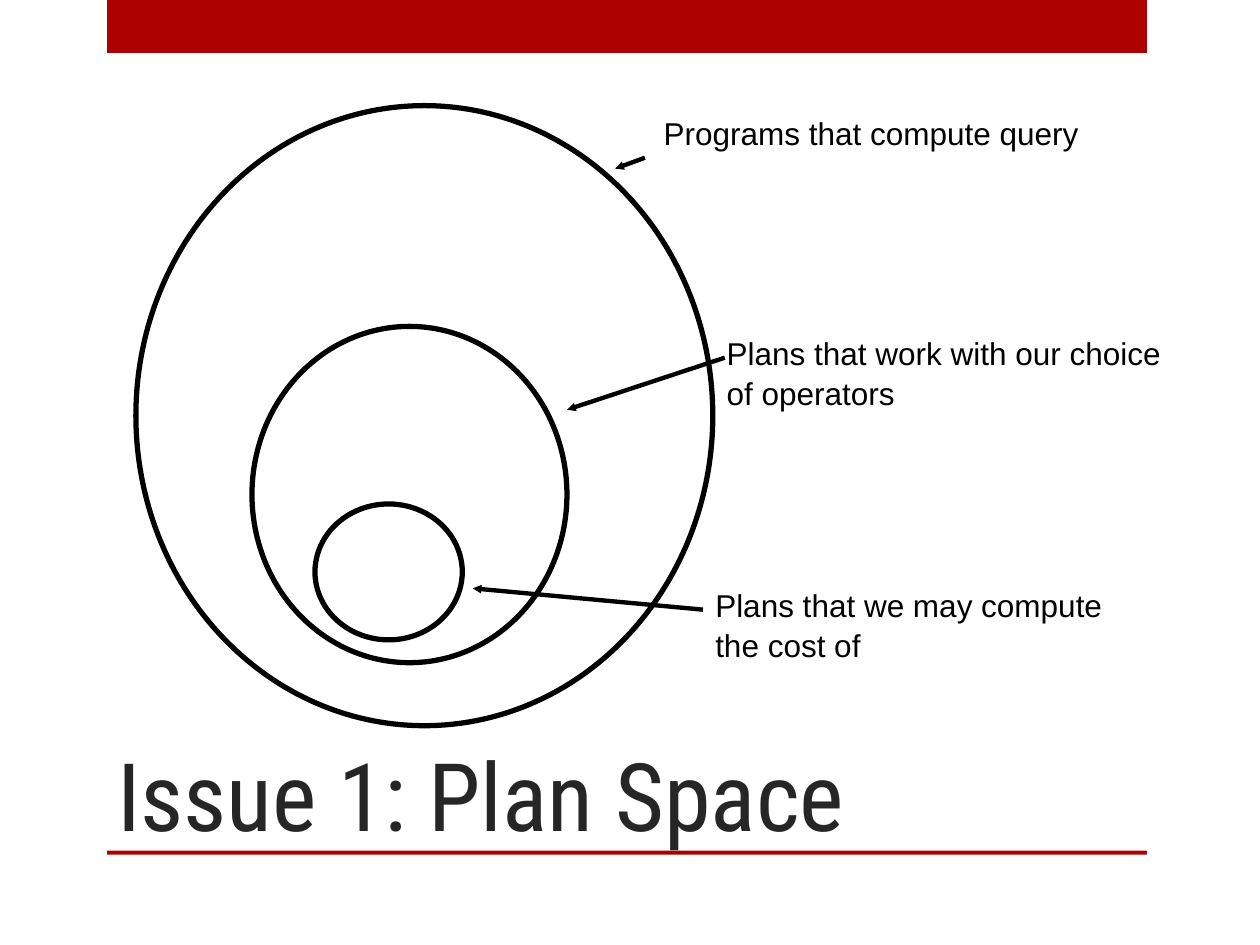
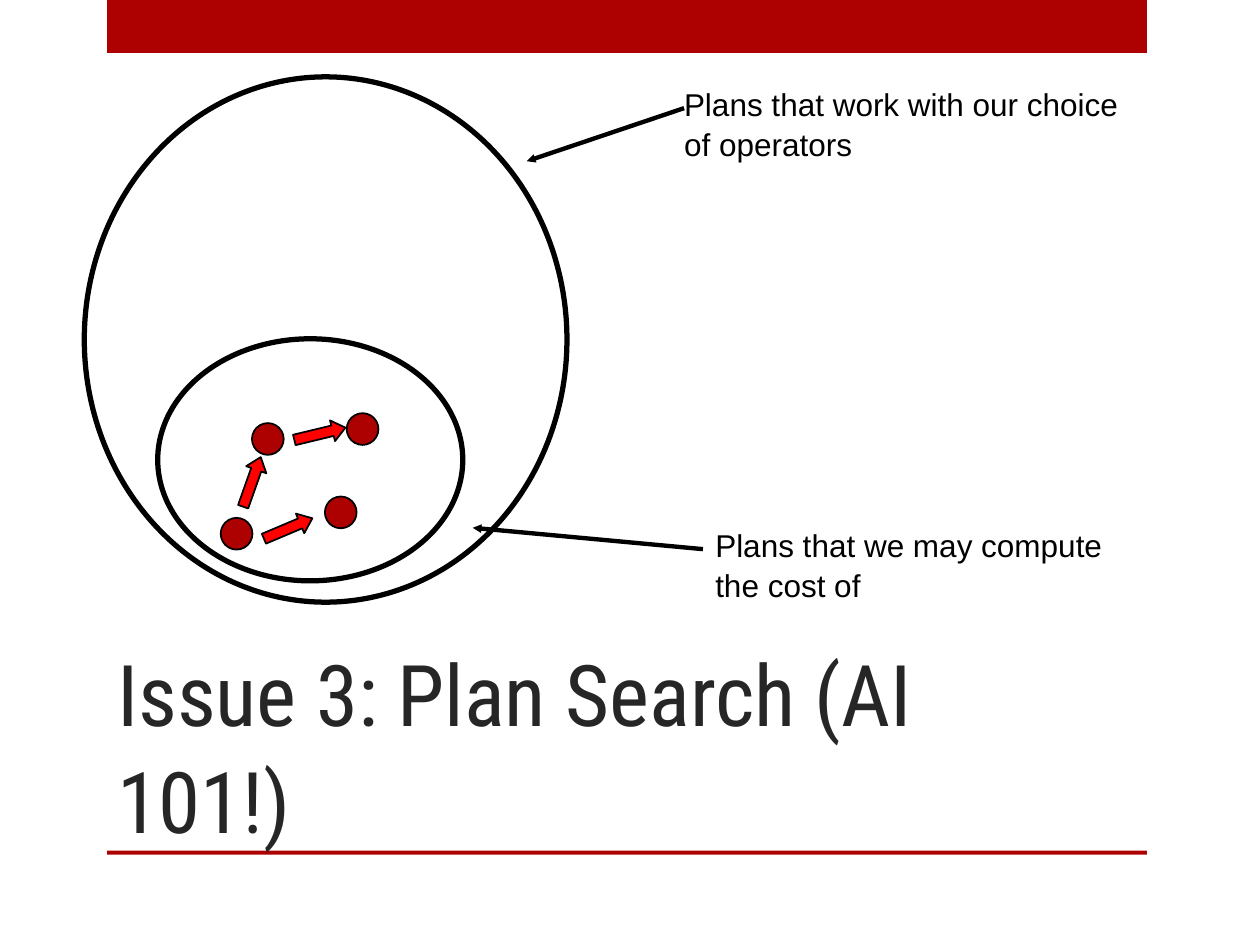
from dataclasses import dataclass

from lxml import etree
from pptx import Presentation
from pptx.dml.color import RGBColor
from pptx.enum.shapes import MSO_CONNECTOR, MSO_SHAPE
from pptx.enum.text import MSO_ANCHOR
from pptx.oxml.ns import qn
from pptx.util import Cm, Pt

RECTANGLE, ELLIPSE = MSO_SHAPE.RECTANGLE, MSO_SHAPE.OVAL
RIGHT_ARROW = MSO_SHAPE.RIGHT_ARROW
STRAIGHT = MSO_CONNECTOR.STRAIGHT
TOP, BOTTOM = MSO_ANCHOR.TOP, MSO_ANCHOR.BOTTOM

COLORS = {"band": "AD0101", "title": "262626", "ink": "000000", "step": "FF0000"}
TITLE_FONT, LABEL_FONT = "Roboto Condensed", "Arial"
LINE_SPACING = 1.05

# All lengths are in centimetres
BAND_LEFT, BAND_WIDTH = 2.16, 20.96
TITLE_BOX = (2.11, 12.7, 18.85, 4.45)
LABEL_WIDTH, LABEL_HEIGHT = 9.35, 2.29
PLAN_SIZE = 0.64
STEP_WIDTH, STEP_HEIGHT = 1.06, 0.43

OPERATORS = "Plans that work with our choice of operators"
COSTED = "Plans that we may compute the cost of"


@dataclass(frozen=True)
class PlanSet:
    """A set of plans: its outline, its label and the pointer between them."""
    outline: tuple[float, float, float, float]
    label: str
    label_at: tuple[float, float]
    pointer_from: tuple[float, float]
    pointer_to: tuple[float, float]


@dataclass(frozen=True)
class SearchStep:
    left: float
    top: float
    rotation: float


@dataclass(frozen=True)
class Issue:
    title: str
    title_size: float
    plan_sets: tuple[PlanSet, ...]
    plans: tuple[tuple[float, float], ...] = ()
    steps: tuple[SearchStep, ...] = ()


ISSUES = (
    Issue("Issue 1: Plan Space", 54, (
        PlanSet((2.74, 2.13, 11.63, 12.5), "Programs that compute query",
                (13.13, 2.13), (13, 3.18), (12.4, 3.4)),
        PlanSet((5.08, 6.58, 6.35, 6.78), OPERATORS,
                (14.4, 6.58), (14.61, 7.21), (11.43, 8.26)),
        PlanSet((6.35, 10.16, 2.97, 2.74), COSTED,
                (14.17, 11.66), (14.17, 12.29), (9.53, 11.86)),
    )),
    Issue("Issue 3: Plan Search (AI 101!)", 48.6, (
        PlanSet((1.7, 1.55, 9.73, 10.59), OPERATORS,
                (13.54, 1.55), (13.79, 2.18), (10.62, 3.25)),
        PlanSet((3.18, 6.83, 6.15, 4.88), COSTED,
                (14.17, 10.44), (14.17, 11.07), (9.53, 10.64)),
    ),
        plans=((4.45, 10.44), (6.99, 8.33), (5.08, 8.53), (6.55, 10.01)),
        steps=(SearchStep(5.28, 10.44, 337.1), SearchStep(5.92, 8.53, 346.5),
               SearchStep(4.55, 9.5, 289.5))),
)


def rgb(name: str) -> RGBColor:
    return RGBColor.from_string(COLORS[name])


def add_figure(slide, kind, box, fill: str = "", line_width: float = 0):
    """Draw a preset shape; no fill name or zero width means none."""
    figure = slide.shapes.add_shape(kind, *map(Cm, box))
    figure.shadow.inherit = False
    if fill:
        figure.fill.solid()
        figure.fill.fore_color.rgb = rgb(fill)
    else:
        figure.fill.background()
    if line_width:
        figure.line.color.rgb = rgb("ink")
        figure.line.width = Pt(line_width)
    else:
        figure.line.fill.background()
    return figure


def add_text(slide, box, text: str, font: str, size: float, color: str, anchor):
    frame = slide.shapes.add_textbox(*map(Cm, box)).text_frame
    frame.word_wrap = True
    frame.vertical_anchor = anchor
    paragraph = frame.paragraphs[0]
    paragraph.text = text
    paragraph.line_spacing = LINE_SPACING
    paragraph.font.name = font
    paragraph.font.size = Pt(size)
    paragraph.font.color.rgb = rgb(color)
    return frame


def add_pointer(slide, start: tuple[float, float], end: tuple[float, float]) -> None:
    pointer = slide.shapes.add_connector(STRAIGHT, *map(Cm, start + end))
    pointer.line.color.rgb = rgb("ink")
    pointer.line.width = Pt(2.5)
    etree.SubElement(pointer.line._get_or_add_ln(), qn("a:tailEnd"),
                     type="triangle", w="sm", len="sm")
    etree.SubElement(pointer._element.spPr, qn("a:effectLst"))


def add_frame(slide, issue: Issue) -> None:
    """Top band, bottom rule and title."""
    for top, height in ((0, 1.07), (17.15, 0.08)):
        add_figure(slide, RECTANGLE, (BAND_LEFT, top, BAND_WIDTH, height), "band")
    title = add_text(slide, TITLE_BOX, issue.title, TITLE_FONT,
                     issue.title_size, "title", BOTTOM)
    title.margin_bottom = Cm(0)


def add_plan_set(slide, plan_set: PlanSet) -> None:
    add_figure(slide, ELLIPSE, plan_set.outline, line_width=3)
    add_text(slide, (*plan_set.label_at, LABEL_WIDTH, LABEL_HEIGHT),
             plan_set.label, LABEL_FONT, 18, "ink", TOP)
    add_pointer(slide, plan_set.pointer_from, plan_set.pointer_to)


def add_step(slide, step: SearchStep) -> None:
    arrow = add_figure(slide, RIGHT_ARROW,
                       (step.left, step.top, STEP_WIDTH, STEP_HEIGHT), "step", 1)
    arrow.adjustments[0] = 0.5
    arrow.adjustments[1] = 0.625
    arrow.rotation = step.rotation


def main() -> None:
    deck = Presentation()
    deck.slide_width, deck.slide_height = Cm(25.4), Cm(19.05)
    blank = deck.slide_layouts[6]
    for issue in ISSUES:
        slide = deck.slides.add_slide(blank)
        add_frame(slide, issue)
        for plan_set in issue.plan_sets:
            add_plan_set(slide, plan_set)
        # Plans visited by the search and the steps between them
        for plan_at in issue.plans:
            add_figure(slide, ELLIPSE, (*plan_at, PLAN_SIZE, PLAN_SIZE), "band", 1)
        for step in issue.steps:
            add_step(slide, step)
    deck.save("out.pptx")


if __name__ == "__main__":
    main()
